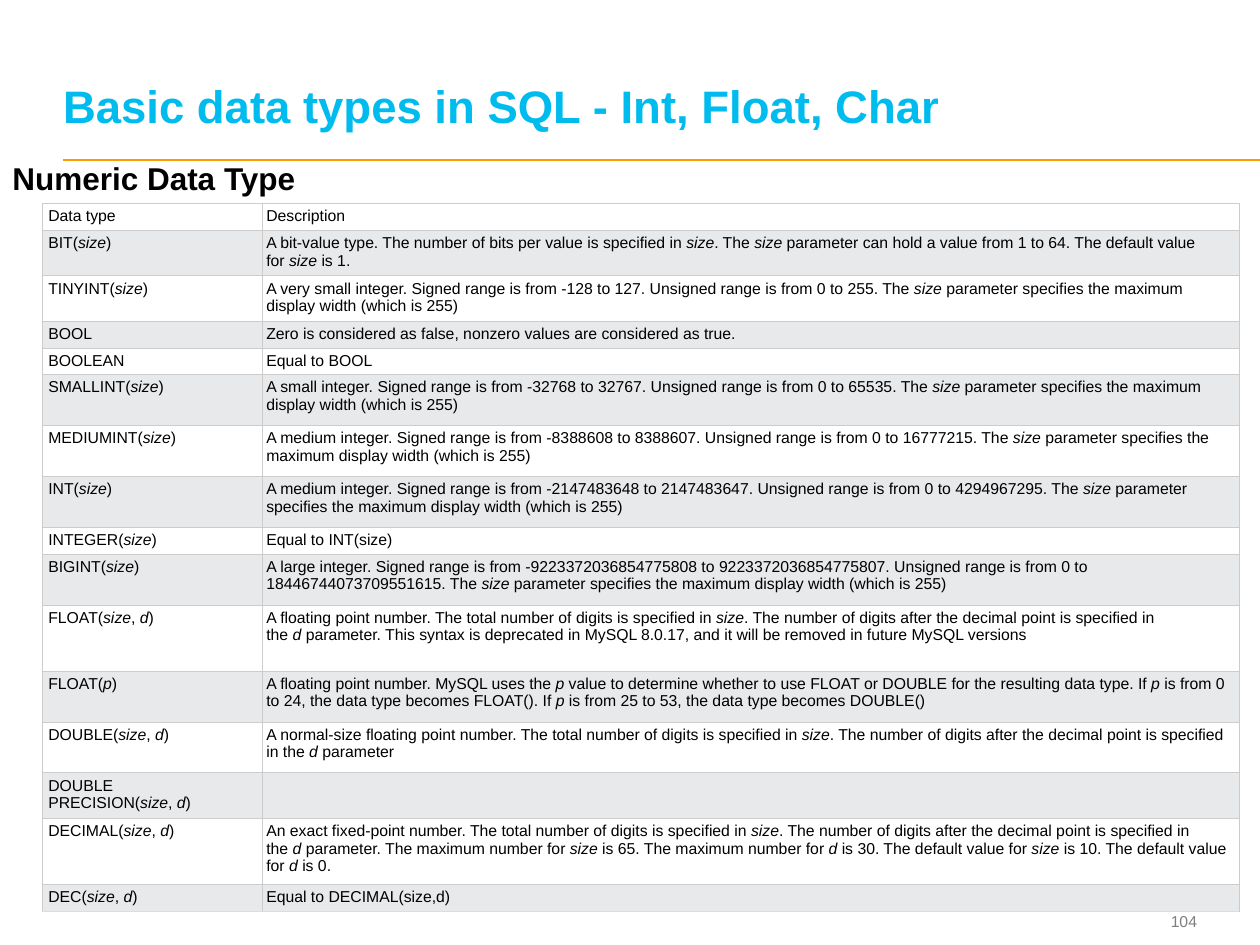
from lxml import etree
from pptx import Presentation
from pptx.dml.color import RGBColor
from pptx.enum import shapes, text
from pptx.oxml.ns import qn
from pptx.util import Pt

TITLE = "Basic data types in SQL - Int, Float, Char"
SUBTITLE = "Numeric Data Type"
PAGE = "104"
FONT = "Arial"
COLORS = {"title": "00BBEE", "text": "000000", "page": "7F7F7F", "rule": "FF9900",
          "odd": "FFFFFF", "even": "E7E9EB", "border": "CCCCCC", "last border": "DDDDDD"}

ONE, TWO, LOOSE, TALL = 14.7, 25.5, 29.1, 37.8  # row heights
WIDTH_NOTE = "The *size* parameter specifies the maximum display width (which is 255)"
DIGITS = "The total number of digits is specified in *size*. " \
         "The number of digits after the decimal point is specified in the *d* parameter"

# Asterisks enclose italic words.
DATA_TYPES = [
    ("Data type", "Description", ONE),
    ("BIT(*size*)", "A bit-value type. The number of bits per value is specified in *size*. "
     "The *size* parameter can hold a value from 1 to 64. "
     "The default value for *size* is 1.", TWO),
    ("TINYINT(*size*)", "A very small integer. Signed range is from -128 to 127. "
     "Unsigned range is from 0 to 255. " + WIDTH_NOTE, TWO),
    ("BOOL", "Zero is considered as false, nonzero values are considered as true.", ONE),
    ("BOOLEAN", "Equal to BOOL", ONE),
    ("SMALLINT(*size*)", "A small integer. Signed range is from -32768 to 32767. "
     "Unsigned range is from 0 to 65535. " + WIDTH_NOTE, LOOSE),
    ("MEDIUMINT(*size*)", "A medium integer. Signed range is from -8388608 to 8388607. "
     "Unsigned range is from 0 to 16777215. " + WIDTH_NOTE, LOOSE),
    ("INT(*size*)", "A medium integer. Signed range is from -2147483648 to 2147483647. "
     "Unsigned range is from 0 to 4294967295. " + WIDTH_NOTE, LOOSE),
    ("INTEGER(*size*)", "Equal to INT(size)", ONE),
    ("BIGINT(*size*)", "A large integer. Signed range is from -9223372036854775808 to "
     "9223372036854775807. Unsigned range is from 0 to 18446744073709551615. "
     + WIDTH_NOTE, LOOSE),
    ("FLOAT(*size*, *d*)", "A floating point number. " + DIGITS + ". This syntax is deprecated "
     "in MySQL 8.0.17, and it will be removed in future MySQL versions", TALL),
    ("FLOAT(*p*)", "A floating point number. MySQL uses the *p* value to determine whether to "
     "use FLOAT or DOUBLE for the resulting data type. If *p* is from 0 to 24, the data type "
     "becomes FLOAT(). If *p* is from 25 to 53, the data type becomes DOUBLE()", LOOSE),
    ("DOUBLE(*size*, *d*)", "A normal-size floating point number. " + DIGITS, LOOSE),
    ("DOUBLE PRECISION(*size*, *d*)", "", TWO),
    ("DECIMAL(*size*, *d*)", "An exact fixed-point number. " + DIGITS + ". The maximum number "
     "for *size* is 65. The maximum number for *d* is 30. The default value for *size* is 10. "
     "The default value for *d* is 0.", TALL),
    ("DEC(*size*, *d*)", "Equal to DECIMAL(size,d)", ONE),
]
COLUMN_WIDTHS = [126, 558]
LEFT_INSETS = [3.6, 2.2]
INSET = 2.2
NO_BREAK_SPACE = chr(160)


def rgb(name):
    return RGBColor.from_string(COLORS[name])


def style(font, size, color, bold=False, italic=False):
    font.name, font.size, font.bold, font.italic = FONT, Pt(size), bold, italic
    font.color.rgb = rgb(color)


def set_insets(frame, left, other):
    frame.margin_left = Pt(left)
    frame.margin_top = frame.margin_right = frame.margin_bottom = Pt(other)


def write_marked(paragraph, marked):
    """Write text with *italic* parts; spaces that touch an italic part do not break."""
    parts = marked.split("*")
    for i, part in enumerate(parts):
        if i > 0 and part.startswith(" "):
            part = NO_BREAK_SPACE + part[1:]
        if i < len(parts) - 1 and part.endswith(" "):
            part = part[:-1] + NO_BREAK_SPACE
        if part:
            run = paragraph.add_run()
            run.text = part
            style(run.font, 9, "text", italic=i % 2 == 1)
    if not marked:
        etree.SubElement(paragraph._p, qn("a:endParaRPr"), sz="900")


def set_borders(cell, bottom):
    properties = cell._tc.get_or_add_tcPr()
    sides = [("a:lnL", "border"), ("a:lnR", "border"), ("a:lnT", "border"), ("a:lnB", bottom)]
    for position, (side, color) in enumerate(sides):
        line = etree.Element(qn(side), w=str(Pt(0.6)))
        fill = etree.SubElement(line, qn("a:solidFill"))
        etree.SubElement(fill, qn("a:srgbClr"), val=COLORS[color])
        properties.insert(position, line)


prs = Presentation()
prs.slide_width, prs.slide_height = Pt(720), Pt(540)
slide = prs.slides.add_slide(prs.slide_layouts[5])

rule = slide.shapes.add_connector(shapes.MSO_CONNECTOR.STRAIGHT,
                                  Pt(36), Pt(91.4), Pt(720), Pt(91.4))
rule.line.color.rgb, rule.line.width = rgb("rule"), Pt(1)
etree.SubElement(rule._element.spPr, qn("a:effectLst"))

page = slide.shapes.add_textbox(Pt(641.5), Pt(517), Pt(42.5), Pt(19.4))
page.text_frame.text = PAGE
page.text_frame.word_wrap = True
page.text_frame.vertical_anchor = text.MSO_ANCHOR.MIDDLE
set_insets(page.text_frame, 0, 0)
page.text_frame.paragraphs[0].alignment = text.PP_ALIGN.RIGHT
style(page.text_frame.paragraphs[0].runs[0].font, 9, "page")

title = slide.shapes.title
title.left, title.top, title.width, title.height = Pt(36), Pt(13.7), Pt(645.8), Pt(62)
title.text_frame.text = TITLE
title.text_frame.auto_size = text.MSO_AUTO_SIZE.NONE
title.text_frame.vertical_anchor = text.MSO_ANCHOR.BOTTOM
set_insets(title.text_frame, 0, 0)
heading = title.text_frame.paragraphs[0]
heading.alignment, heading.line_spacing = text.PP_ALIGN.LEFT, Pt(26)
style(heading.runs[0].font, 26, "title", bold=True)

subtitle = slide.shapes.add_textbox(0, Pt(87.1), Pt(177.8), Pt(29))
subtitle.text_frame.text = SUBTITLE
subtitle.text_frame.word_wrap = False
subtitle.text_frame.auto_size = text.MSO_AUTO_SIZE.SHAPE_TO_FIT_TEXT
style(subtitle.text_frame.paragraphs[0].runs[0].font, 18, "text", bold=True)

table = slide.shapes.add_table(len(DATA_TYPES), len(COLUMN_WIDTHS), Pt(24), Pt(116.4),
                               Pt(sum(COLUMN_WIDTHS)),
                               Pt(sum(height for *_, height in DATA_TYPES))).table
for column, width in zip(table.columns, COLUMN_WIDTHS):
    column.width = Pt(width)
for r, (*contents, height) in enumerate(DATA_TYPES):
    table.rows[r].height = Pt(height)
    is_last = r == len(DATA_TYPES) - 1
    for c, marked in enumerate(contents):
        cell = table.cell(r, c)
        set_insets(cell, LEFT_INSETS[c], INSET)
        cell.fill.solid()
        cell.fill.fore_color.rgb = rgb("even" if r % 2 else "odd")
        set_borders(cell, "last border" if is_last else "border")
        write_marked(cell.text_frame.paragraphs[0], marked)

prs.save("out.pptx")
